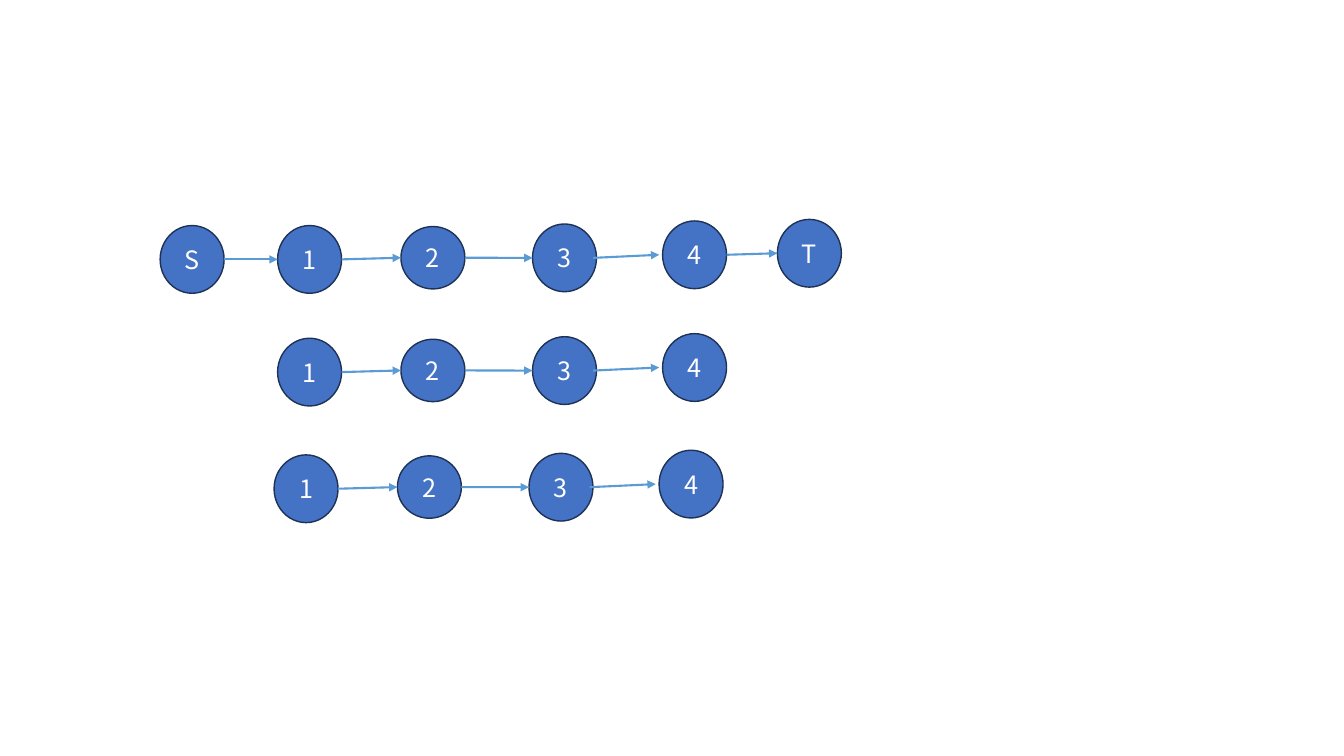
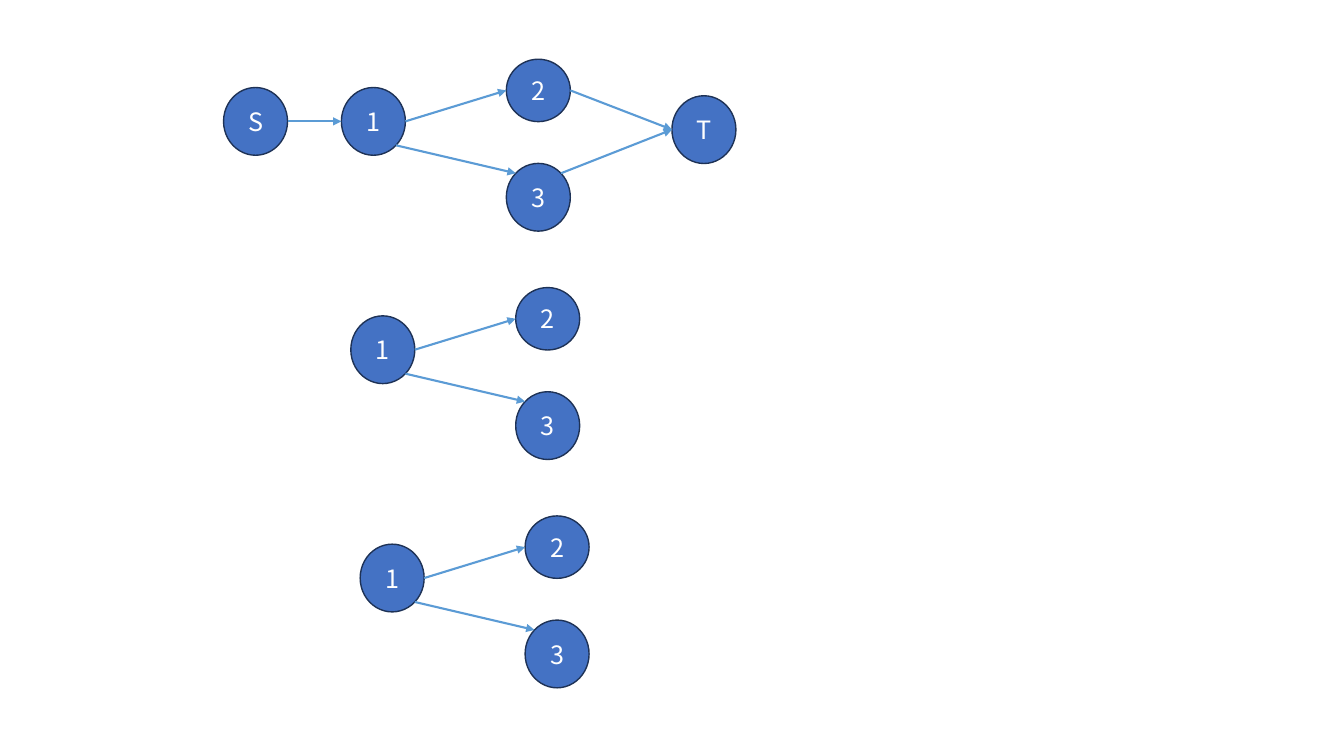
import math
from dataclasses import dataclass

import pptx
import pptx.dml.color
import pptx.enum.shapes
import pptx.enum.text
import pptx.oxml.ns
import pptx.util
from lxml import etree

Pt = pptx.util.Pt
RGB = pptx.dml.color.RGBColor.from_string
qn = pptx.oxml.ns.qn


@dataclass(frozen=True)
class Theme:
    node_fill = RGB("4472C4")
    node_line = RGB("1E3256")
    node_text = RGB("FFFFFF")
    arrow = RGB("5B9BD5")
    font = "Noto Sans CJK SC"
    text_size = 18
    node_line_width = 1
    arrow_width = 1.5
    node_width = 45.7
    node_height = 48.4
    low_node_height = 44.6  # node 2 is slightly flatter


# Connection sites of an ellipse: index and angle (clockwise from the right)
SITES = {"left": (2, 180), "right": (6, 0), "top left": (1, 225),
         "bottom right": (5, 45), "top right": (7, 315)}


def add_node(slide, label, left, top):
    height = Theme.low_node_height if label == "2" else Theme.node_height
    node = slide.shapes.add_shape(
        pptx.enum.shapes.MSO_SHAPE.OVAL,
        Pt(left), Pt(top), Pt(Theme.node_width), Pt(height))
    node.shadow.inherit = False
    node.fill.solid()
    node.fill.fore_color.rgb = Theme.node_fill
    node.line.color.rgb = Theme.node_line
    node.line.width = Pt(Theme.node_line_width)
    node.text_frame.text = label
    node.text_frame.vertical_anchor = pptx.enum.text.MSO_ANCHOR.MIDDLE
    paragraph = node.text_frame.paragraphs[0]
    paragraph.alignment = pptx.enum.text.PP_ALIGN.CENTER
    font = paragraph.runs[0].font
    font.name = Theme.font
    font.size = Pt(Theme.text_size)
    font.color.rgb = Theme.node_text
    return node


def add_arrow(slide, ends, shift):
    """Join two (node, site) ends; a shifted arrow is not glued to its nodes."""
    points = []
    for node, site in ends:
        angle = math.radians(SITES[site][1])
        points += [
            int(node.left + node.width / 2 * (1 + math.cos(angle))) + Pt(shift),
            int(node.top + node.height / 2 * (1 + math.sin(angle)))]
    arrow = slide.shapes.add_connector(
        pptx.enum.shapes.MSO_CONNECTOR.STRAIGHT, *points)
    arrow.line.color.rgb = Theme.arrow
    arrow.line.width = Pt(Theme.arrow_width)
    etree.SubElement(arrow.line._get_or_add_ln(), qn("a:tailEnd"), type="triangle")
    etree.SubElement(arrow._element.spPr, qn("a:effectLst"))
    if not shift:
        glue = arrow._element.find(f"{qn('p:nvCxnSpPr')}/{qn('p:cNvCxnSpPr')}")
        for tag, (node, site) in zip(("a:stCxn", "a:endCxn"), ends):
            etree.SubElement(glue, qn(tag), id=str(node.shape_id),
                             idx=str(SITES[site][0]))


# Chain: each row is (labels, x offset, y offset)
chain = {
    "nodes": {"S": (114.4, 161.1), "1": (198.3, 161.1), "2": (286.4, 161.8),
              "3": (380.4, 160), "4": (473.3, 157.8), "T": (555.3, 156.7)},
    "edges": [("S", "right", "1", "left", 0), ("1", "right", "2", "left", 0),
              ("2", "right", "3", "left", 0), ("3", "right", "4", "left", -2.4),
              ("4", "right", "T", "left", 0)],
    "rows": [("S1234T", 0, 0), ("1234", 0, 80.5), ("1234", -2.5, 163.8)],
}

# Branch: node 1 leads to nodes 2 and 3, which meet again in T
branch = {
    "nodes": {"S": (159.7, 62.5), "1": (243.9, 62.5), "2": (361.7, 42.3),
              "3": (361.7, 116.7), "T": (480, 68.4)},
    "edges": [("S", "right", "1", "left", 0), ("1", "right", "2", "left", 0),
              ("1", "bottom right", "3", "top left", 0),
              ("2", "right", "T", "left", 0), ("3", "top right", "T", "left", 0)],
    "rows": [("S123T", 0, 0)] + [("123", 6.7 * i, 163.1 * i) for i in (1, 2)],
}

presentation = pptx.Presentation()
presentation.slide_width, presentation.slide_height = Pt(960), Pt(540)
blank_layout = presentation.slide_layouts[6]

for graph in (chain, branch):
    slide = presentation.slides.add_slide(blank_layout)
    for labels, x_offset, y_offset in graph["rows"]:
        # Nodes of the row
        nodes = {}
        for label in labels:
            left, top = graph["nodes"][label]
            nodes[label] = add_node(slide, label, left + x_offset, top + y_offset)
        # Arrows between nodes that are both in the row
        for source, source_site, target, target_site, shift in graph["edges"]:
            if source in nodes and target in nodes:
                add_arrow(slide, [(nodes[source], source_site),
                                  (nodes[target], target_site)], shift)

presentation.save("out.pptx")
